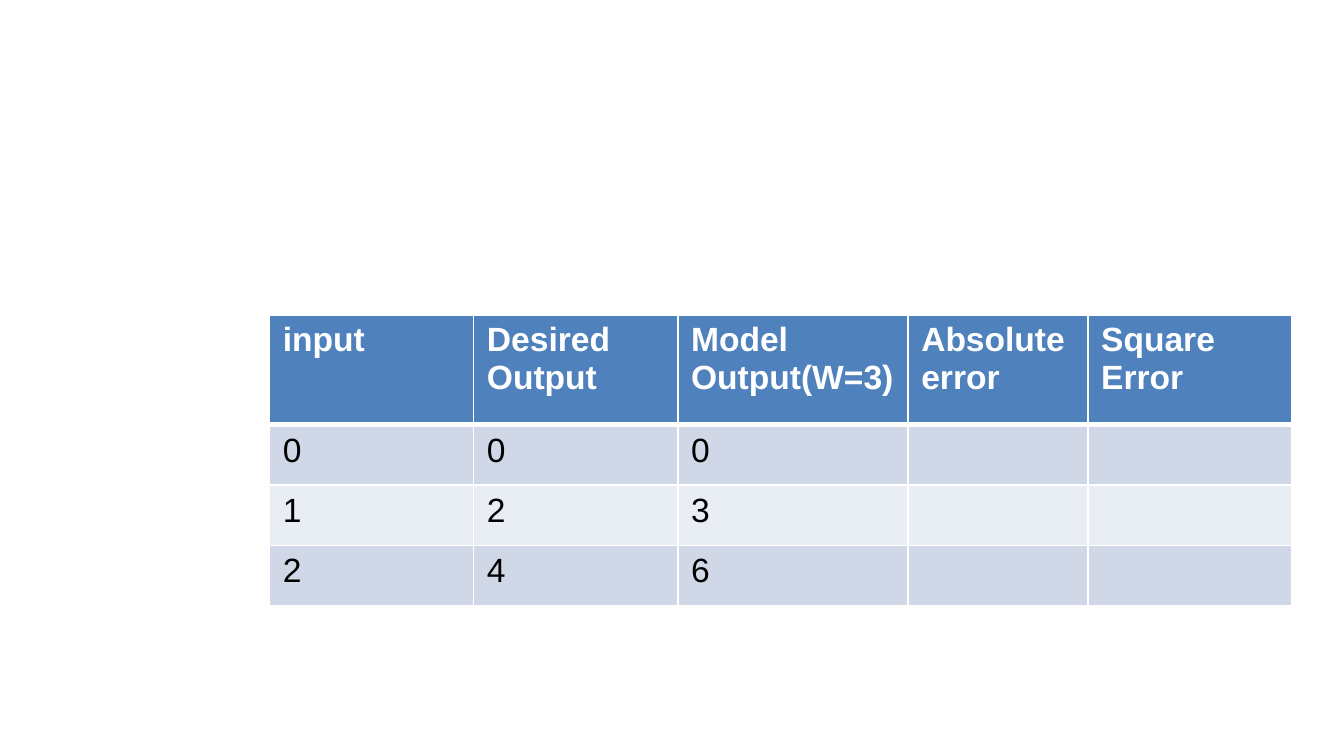
from dataclasses import dataclass

from lxml.etree import SubElement as Sub
from pptx import Presentation
from pptx.dml.color import RGBColor as Rgb
from pptx.oxml.ns import qn
from pptx.util import Cm, Pt


@dataclass(frozen=True)
class Theme:
    font: str = "Arial"
    size: int = 18
    head: str = "4F81BD"
    bands: tuple = ("D0D8E8", "E9EDF4")
    light: str = "FFFFFF"
    dark: str = "000000"
    rule: int = 1
    thick: int = 3


THEME = Theme()

HEADS = ["input", "Desired Output", "Model Output(W=3)", "Absolute error", "Square Error"]
ROWS = [
    ["0", "0", "0", "", ""],
    ["1", "2", "3", "", ""],
    ["2", "4", "6", "", ""],
]
WIDTHS = [3.86, 3.86, 4.35, 3.4, 3.86]
HEAD_H = 2.08


def write(frame, text, color=THEME.dark, bold=False, size=THEME.size):
    """Put text in a frame with the given format."""
    run = frame.paragraphs[0].add_run()
    run.text = text
    font = run.font
    font.name, font.size, font.bold = THEME.font, Pt(size), bold
    font.color.rgb = Rgb.from_string(color)


def edge(cell, top, bottom):
    """Draw the four borders; they come before the fill in the XML."""
    props = cell._tc.get_or_add_tcPr()
    sides = {"L": THEME.rule, "R": THEME.rule, "T": top, "B": bottom}
    for side, width in sides.items():
        line = Sub(props, qn(f"a:ln{side}"), w=str(Pt(width)))
        fill = Sub(line, qn("a:solidFill"))
        Sub(fill, qn("a:srgbClr"), val=THEME.light)


def paint(cell, color):
    cell.fill.solid()
    cell.fill.fore_color.rgb = Rgb.from_string(color)


def add_grid(slide, left, top, width, height):
    """Place the error table in the given box."""
    count = len(ROWS) + 1
    table = slide.shapes.add_table(
        count, len(HEADS), Cm(left), Cm(top), Cm(width), Cm(height)
    ).table

    # Column widths share the box; body rows share what the header leaves
    for col, part in zip(table.columns, WIDTHS):
        col.width = Cm(width * part / sum(WIDTHS))
    for i, row in enumerate(table.rows):
        row.height = Cm((height - HEAD_H) / len(ROWS) if i else HEAD_H)

    # Cells
    for i, texts in enumerate([HEADS] + ROWS):
        head = i == 0
        for j, text in enumerate(texts):
            cell = table.cell(i, j)
            edge(
                cell,
                top=THEME.thick if i == 1 else THEME.rule,
                bottom=THEME.thick if head else THEME.rule,
            )
            paint(cell, THEME.head if head else THEME.bands[(i - 1) % 2])
            if text:
                write(cell.text_frame, text, bold=head,
                      color=THEME.light if head else THEME.dark)


def main():
    deck = Presentation()
    deck.slide_width, deck.slide_height = Cm(25.4), Cm(14.29)
    slide = deck.slides.add_slide(deck.slide_layouts[6])
    add_grid(slide, left=5.09, top=5.95, width=sum(WIDTHS), height=5.5)
    deck.save("out.pptx")


if __name__ == "__main__":
    main()
